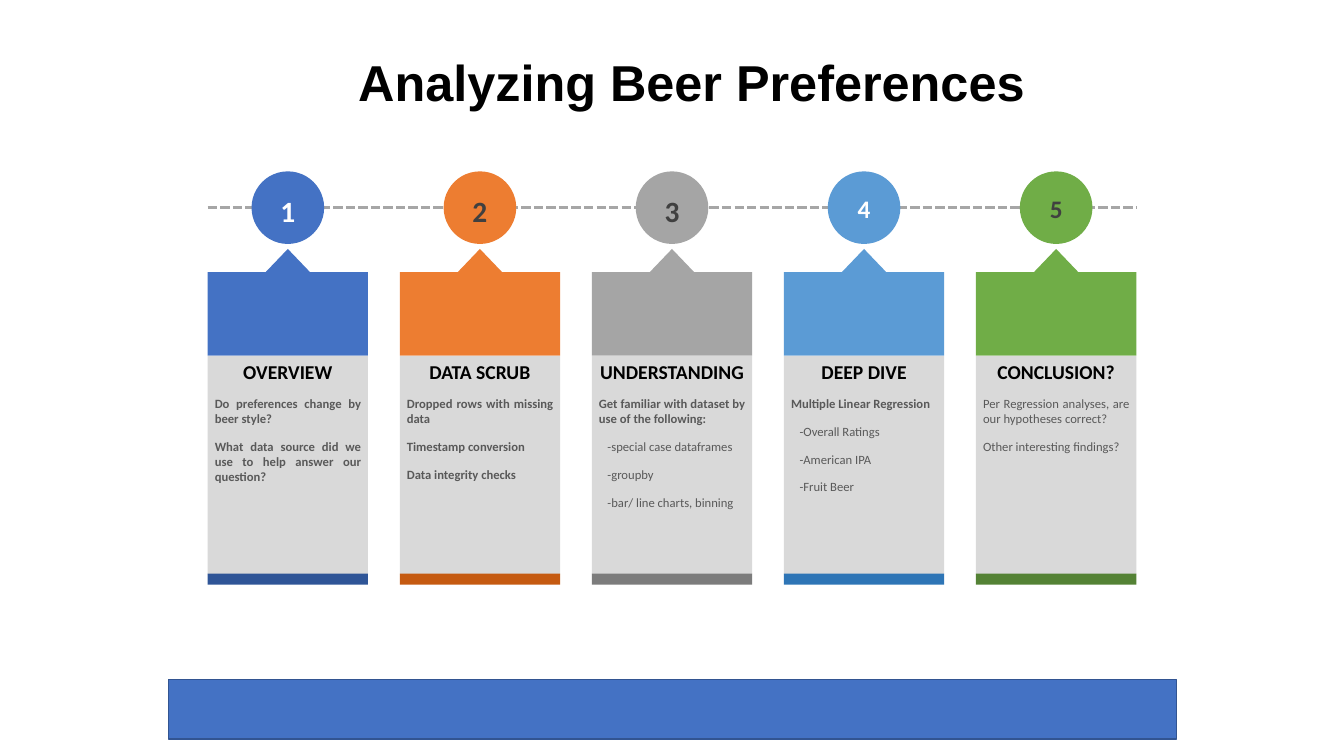
from lxml import etree
from pptx import Presentation
from pptx.dml.color import RGBColor
from pptx.enum import dml, shapes, text
from pptx.oxml import ns
from pptx.util import Inches, Pt

COLORS = {
    "black": "000000", "white": "FFFFFF", "digit": "404040", "body": "595959",
    "panel": "D9D9D9", "dash": "A6A6A6", "footer_edge": "325491",
    "blue": "4472C4", "blue_dark": "2F5597",
    "orange": "ED7D31", "orange_dark": "C55A11",
    "gray": "A5A5A5", "gray_dark": "7C7C7C",
    "sky": "5B9BD5", "sky_dark": "2E75B6",
    "green": "70AD47", "green_dark": "548235",
}
STAGES = [
    ("blue", "white", 21, "OVERVIEW", True,
     ["Do preferences change by beer style?",
      "What data source did we use to help answer our question?"]),
    ("orange", "digit", 21, "DATA SCRUB", True,
     ["Dropped rows with missing data", "Timestamp conversion", "Data integrity checks"]),
    ("gray", "digit", 21, "UNDERSTANDING", True,
     ["Get familiar with dataset by use of the following:",
      "-special case dataframes", "-groupby", "-bar/ line charts, binning"]),
    ("sky", "white", 18, "DEEP DIVE", True,
     ["Multiple Linear Regression", "-Overall Ratings", "-American IPA", "-Fruit Beer"]),
    ("green", "digit", 18, "CONCLUSION?", False,
     ["Per Regression analyses, are our hypotheses correct?", "Other interesting findings?"]),
]
LEFT, PITCH, WIDTH = 2.06, 1.905, 1.59
KIND = shapes.MSO_SHAPE


def add_block(parent, kind, left, top, width, height, color):
    block = parent.add_shape(kind, Inches(left), Inches(top), Inches(width), Inches(height))
    block.shadow.inherit = False
    block.fill.solid()
    block.fill.fore_color.rgb = RGBColor.from_string(COLORS[color])
    block.line.fill.background()
    return block


def style(paragraph, size, color, bold, align, font="Calibri"):
    paragraph.alignment = align
    for run in paragraph.runs:
        run.font.name = font
        run.font.size = Pt(size)
        run.font.bold = bold
        run.font.color.rgb = RGBColor.from_string(COLORS[color])


prs = Presentation()
prs.slide_width, prs.slide_height = Inches(13.33), Inches(7.5)
slide = prs.slides.add_slide(prs.slide_layouts[5])

title = slide.shapes.title
title.left, title.top, title.width, title.height = (Inches(v) for v in (2.35, 0.53, 8.92, 0.81))
heading = title.text_frame
heading.text = "Analyzing Beer Preferences"
heading.auto_size = text.MSO_AUTO_SIZE.NONE
heading.vertical_anchor = text.MSO_ANCHOR.TOP
heading.margin_right = 0
heading.paragraphs[0].line_spacing = 0.9
style(heading.paragraphs[0], 36, "black", True, text.PP_ALIGN.CENTER, "Arial")

timeline = slide.shapes.add_connector(
    shapes.MSO_CONNECTOR.STRAIGHT, Inches(LEFT), Inches(2.06), Inches(11.27), Inches(2.06))
timeline.line.color.rgb = RGBColor.from_string(COLORS["dash"])
timeline.line.width = Pt(2.25)
timeline.line.dash_style = dml.MSO_LINE.SQUARE_DOT
etree.SubElement(timeline._element.spPr, ns.qn("a:effectLst"))

for index, (color, digit_color, digit_size, name, bold, points) in enumerate(STAGES):
    left = LEFT + index * PITCH
    center = left + WIDTH / 2
    column = slide.shapes.add_group_shape().shapes
    add_block(column, KIND.RECTANGLE, left, 2.7, WIDTH, 0.83, color)
    add_block(column, KIND.ISOSCELES_TRIANGLE, center - 0.22, 2.47, 0.44, 0.23, color)
    panel = add_block(column, KIND.RECTANGLE, left, 3.53, WIDTH, 2.17, "panel")
    add_block(column, KIND.RECTANGLE, left, 5.69, WIDTH, 0.11, color + "_dark")

    frame = panel.text_frame
    frame.word_wrap = True
    frame.vertical_anchor = text.MSO_ANCHOR.TOP
    frame.margin_left = frame.margin_right = Inches(0.07)
    frame.margin_top = frame.margin_bottom = Inches(0.04)
    frame.text = "\n".join([name] + points)
    for paragraph in frame.paragraphs:
        paragraph.space_after = Pt(9)
        indented = paragraph.text.startswith("-")
        style(paragraph, 9, "body", bold and not indented, text.PP_ALIGN.JUSTIFY)
        if indented:
            paragraph._p.get_or_add_pPr().set("marL", str(Inches(0.085)))
    style(frame.paragraphs[0], 14, "black", True, text.PP_ALIGN.CENTER)

    add_block(slide.shapes, KIND.OVAL, center - 0.36, 1.7, 0.72, 0.72, color)
    digit = slide.shapes.add_textbox(
        Inches(center - 0.175), Inches(1.87), Inches(0.35), Inches(0.45 if digit_size == 21 else 0.4))
    digit.text_frame.text = str(index + 1)
    digit.text_frame.word_wrap = False
    digit.text_frame.auto_size = text.MSO_AUTO_SIZE.SHAPE_TO_FIT_TEXT
    style(digit.text_frame.paragraphs[0], digit_size, digit_color, True, text.PP_ALIGN.CENTER)

footer = add_block(slide.shapes, KIND.RECTANGLE, 1.67, 6.74, 10, 0.59, "blue")
footer.line.color.rgb = RGBColor.from_string(COLORS["footer_edge"])
footer.line.width = Pt(1)

prs.save("out.pptx")
